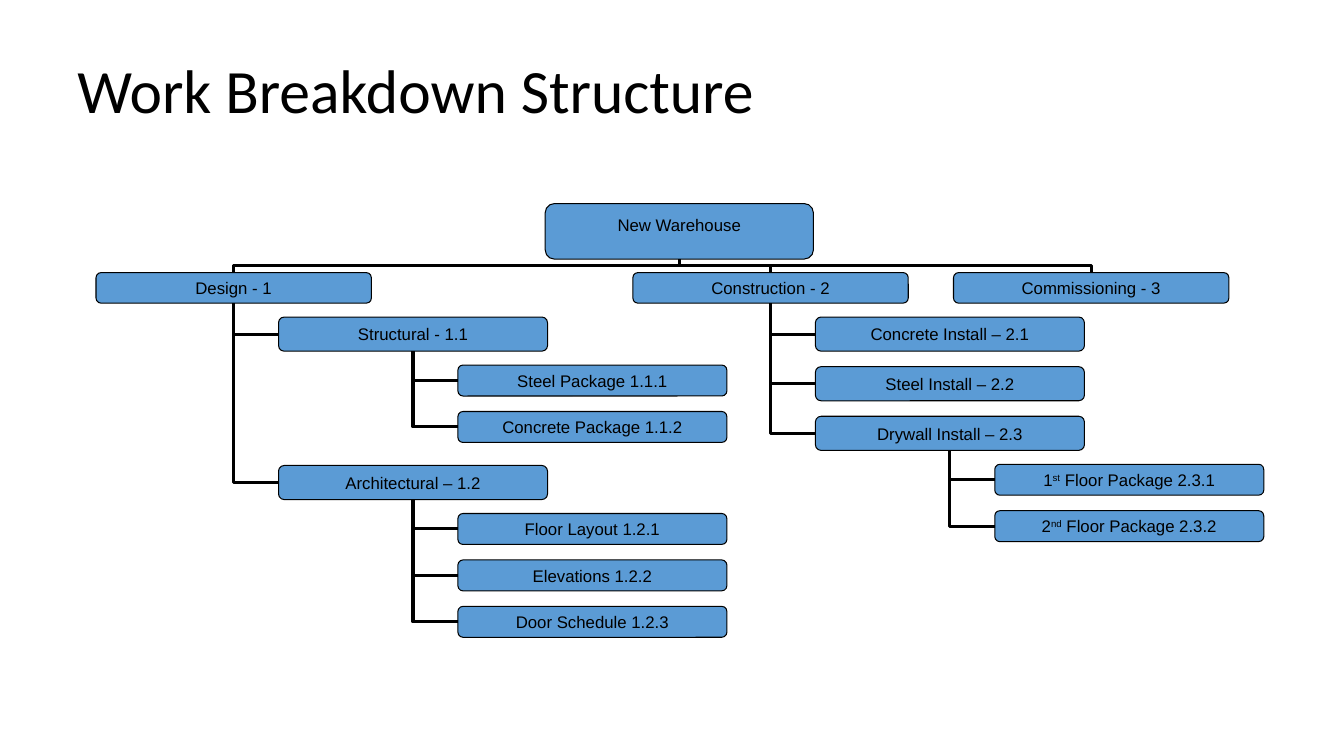
from pptx import Presentation
from pptx.dml.color import RGBColor
from pptx.enum.shapes import MSO_CONNECTOR, MSO_SHAPE
from pptx.enum.text import MSO_ANCHOR, PP_ALIGN
from pptx.oxml.ns import qn
from pptx.util import Cm, Pt
from lxml.etree import SubElement

BLACK, BLUE = "000000", "5B9BD5"
INDENT, CHILD_GAP, SIBLING_GAP, BRANCH_GAP = 1.13, 0.35, 0.39, 0.58
BRANCH_TOP = 6.87
LEVEL_SIZES = [(6.94, 0.77), (6.78, 0.86), (6.78, 0.78)]
BRANCHES = [
    (2.42, ("Design - 1", [
        ("Structural - 1.1", [
            ("Steel Package 1.1.1", []),
            ("Concrete Package 1.1.2", []),
        ]),
        ("Architectural – 1.2", [
            ("Floor Layout 1.2.1", []),
            ("Elevations 1.2.2", []),
            ("Door Schedule 1.2.3", []),
        ]),
    ])),
    (15.95, ("Construction - 2", [
        ("Concrete Install – 2.1", []),
        ("Steel Install – 2.2", []),
        ("Drywall Install – 2.3", [
            ("1^st^ Floor Package 2.3.1", []),
            ("2^nd^ Floor Package 2.3.2", []),
        ]),
    ])),
    (24.03, ("Commissioning - 3", [])),
]


def rgb(value):
    return RGBColor.from_string(value)


def set_all(target, values):
    for name, value in values.items():
        setattr(target, name, value)


def write(p, text, font, size):
    for i, part in enumerate(text.split("^")):
        r = p.add_run()
        r.text = part
        set_all(r.font, {"name": font, "size": Pt(size)})
        r.font.color.rgb = rgb(BLACK)
        if i % 2:
            r.font._element.set("baseline", "30000")


def add_title(s, text):
    tf = s.shapes.add_textbox(Cm(1.7), Cm(0.76), Cm(30.48), Cm(3.18)).text_frame
    set_all(tf, {"word_wrap": True, "vertical_anchor": MSO_ANCHOR.MIDDLE})
    tf.paragraphs[0].line_spacing = 0.9
    write(tf.paragraphs[0], text, "Calibri", 44)


def add_box(s, text, left, top, width, height, anchor=MSO_ANCHOR.MIDDLE, inset=0.08):
    sp = s.shapes.add_shape(MSO_SHAPE.ROUNDED_RECTANGLE,
                            Cm(left), Cm(top), Cm(width), Cm(height))
    sp.shadow.inherit = False
    sp.fill.solid()
    sp.fill.fore_color.rgb = rgb(BLUE)
    sp.line.color.rgb = rgb(BLACK)
    sp.line.width = Pt(0.75)
    tf = sp.text_frame
    set_all(tf, {"word_wrap": False, "vertical_anchor": anchor,
                 "margin_left": Cm(0.13), "margin_right": Cm(0.13),
                 "margin_top": Cm(inset), "margin_bottom": Cm(0.08)})
    p = tf.paragraphs[0]
    p.alignment = PP_ALIGN.CENTER
    write(p, text, "Arial", 12)
    return sp


def add_elbow(s, child, child_site, parent):
    c = s.shapes.add_connector(MSO_CONNECTOR.ELBOW, 0, 0, 0, 0)
    c.begin_connect(child, child_site)
    c.end_connect(parent, 2)
    c.line.color.rgb = rgb(BLACK)
    c.line.width = Pt(2.25)
    SubElement(c._element.spPr, qn("a:effectLst"))
    return c


def link_from_side(s, child, parent):
    c = add_elbow(s, child, 1, parent)
    c._element.spPr.find(qn("a:prstGeom")).set("prst", "bentConnector2")


def link_from_top(s, child, parent):
    c = add_elbow(s, child, 0, parent)
    dx, dy = c.width, c.height
    mid_x, mid_y = c.left + dx // 2, c.top + dy // 2
    is_left = c.begin_x < c.end_x
    set_all(c, {"left": mid_x - dy // 2, "top": mid_y - dx // 2,
                "width": dy, "height": dx})
    set_all(c._element.spPr.xfrm, {"rot": 90, "flipH": True, "flipV": is_left})


def add_branch(s, node, left, top, level=0):
    text, children = node
    width, height = LEVEL_SIZES[level]
    sp = add_box(s, text, left, top, width, height)
    bottom = top + height
    gap = CHILD_GAP
    for child in children:
        child_sp, bottom = add_branch(s, child, left + width / 2 + INDENT,
                                      bottom + gap, level + 1)
        link_from_side(s, child_sp, sp)
        gap = BRANCH_GAP if child[1] else SIBLING_GAP
    return sp, bottom


def main():
    prs = Presentation()
    set_all(prs, {"slide_width": Cm(33.87), "slide_height": Cm(19.05)})
    s = prs.slides.add_slide(prs.slide_layouts[6])
    add_title(s, "Work Breakdown Structure")
    root = add_box(s, "New Warehouse", 13.74, 5.13, 6.76, 1.4, MSO_ANCHOR.TOP, 0.22)
    for left, node in BRANCHES:
        sp, _ = add_branch(s, node, left, BRANCH_TOP)
        link_from_top(s, sp, root)
    prs.save("out.pptx")


if __name__ == "__main__":
    main()
